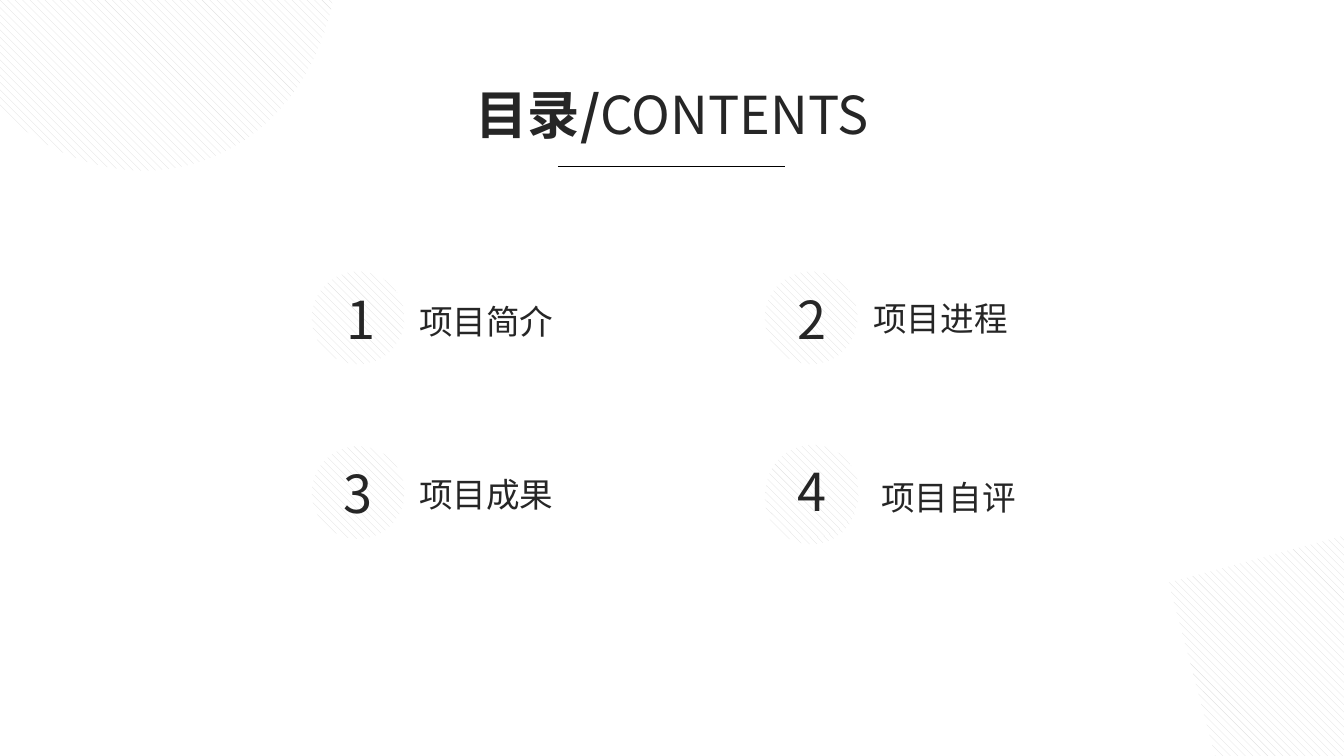
import pptx
import pptx.dml.color
import pptx.enum.dml
import pptx.enum.shapes
import pptx.enum.text
import pptx.oxml
import pptx.oxml.ns
import pptx.util
from pptx.util import Inches

FONT = "Noto Sans CJK SC"
INK = "262626"
CENTER = pptx.enum.text.PP_ALIGN.CENTER
LEFT = pptx.enum.text.PP_ALIGN.LEFT
SHAPES = pptx.enum.shapes.MSO_SHAPE

DOT = 0.69
# number, label, circle positions, number box (left, top, width), label position
ITEMS = [
    ("1", "项目简介", [(2.32, 2.02)], (2.48, 2.09, 0.35), (3.02, 2.19)),
    ("2", "项目进程", [(5.69, 2.02)], (5.83, 2.09, 0.42), (6.4, 2.17)),
    ("3", "项目成果", [(2.32, 3.32)], (2.45, 3.38, 0.42), (3.02, 3.48)),
    ("4", "项目自评", [(5.69, 3.36), (5.7, 3.31)], (5.83, 3.37, 0.43), (6.46, 3.5)),
]


def color(value):
    return pptx.dml.color.RGBColor.from_string(value)


def add_run(p, text, size, bold=False):
    r = p.add_run()
    r.text = text
    r.font.size = pptx.util.Pt(size)
    r.font.bold = bold
    r.font.name = FONT
    r.font.color.rgb = color(INK)
    # East Asian text takes its typeface from a:ea, placed after a:latin
    ea = pptx.oxml.parse_xml(f'<a:ea {pptx.oxml.ns.nsdecls("a")} typeface="{FONT}"/>')
    r.font._element.append(ea)


def add_title(s, x, y, w, h):
    sp = s.shapes.title
    sp.left, sp.top, sp.width, sp.height = map(Inches, (x, y, w, h))
    tf = sp.text_frame
    tf.word_wrap = True
    tf.auto_size = pptx.enum.text.MSO_AUTO_SIZE.SHAPE_TO_FIT_TEXT
    tf.vertical_anchor = pptx.enum.text.MSO_ANCHOR.TOP
    p = tf.paragraphs[0]
    p.alignment = CENTER
    add_run(p, "目录/", 28, bold=True)
    add_run(p, "CONTENTS", 28)


def add_text(s, text, x, y, w, h, size, align):
    tf = s.shapes.add_textbox(*map(Inches, (x, y, w, h))).text_frame
    tf.word_wrap = False
    tf.auto_size = pptx.enum.text.MSO_AUTO_SIZE.SHAPE_TO_FIT_TEXT
    p = tf.paragraphs[0]
    p.alignment = align
    add_run(p, text, size)


def add_hatched(s, kind, x, y, w, h, rotation=0):
    sp = s.shapes.add_shape(kind, *map(Inches, (x, y, w, h)))
    sp.rotation = rotation
    sp.shadow.inherit = False
    sp.fill.patterned()
    sp.fill.pattern = pptx.enum.dml.MSO_PATTERN.WIDE_DOWNWARD_DIAGONAL
    sp.fill.fore_color.rgb = color("DDDDDD")
    sp.fill.back_color.rgb = color("FFFFFF")
    sp.line.fill.background()


def add_rule(s, x1, x2, y):
    line = s.shapes.add_connector(
        pptx.enum.shapes.MSO_CONNECTOR.STRAIGHT,
        Inches(x1), Inches(y), Inches(x2), Inches(y))
    line.line.color.rgb = color("000000")
    line.line.width = pptx.util.Pt(0.5)
    line._element.spPr.append(
        pptx.oxml.parse_xml(f'<a:effectLst {pptx.oxml.ns.nsdecls("a")}/>'))


def add_item(s, number, label, dots, number_box, label_at):
    for x, y in dots:
        add_hatched(s, SHAPES.OVAL, x, y, DOT, DOT)
    x, y, w = number_box
    add_text(s, number, x, y, w, 0.57, 28, CENTER)
    add_text(s, label, *label_at, 1.2, 0.4, 18, LEFT)


def main():
    prs = pptx.Presentation()
    prs.slide_width = Inches(10)
    prs.slide_height = Inches(10 * 9 / 16)
    s = prs.slides.add_slide(prs.slide_layouts[5])
    add_title(s, 3.39, 0.56, 3.22, 0.57)
    for item in ITEMS:
        add_item(s, *item)
    add_rule(s, 4.15, 5.84, 1.24)
    add_hatched(s, SHAPES.RIGHT_TRIANGLE, 8.86, 4.12, 3.57, 3.08, 75)
    add_hatched(s, SHAPES.OVAL, -0.83, -2.04, 3.57, 3.08, 75)
    prs.save("out.pptx")


if __name__ == "__main__":
    main()
